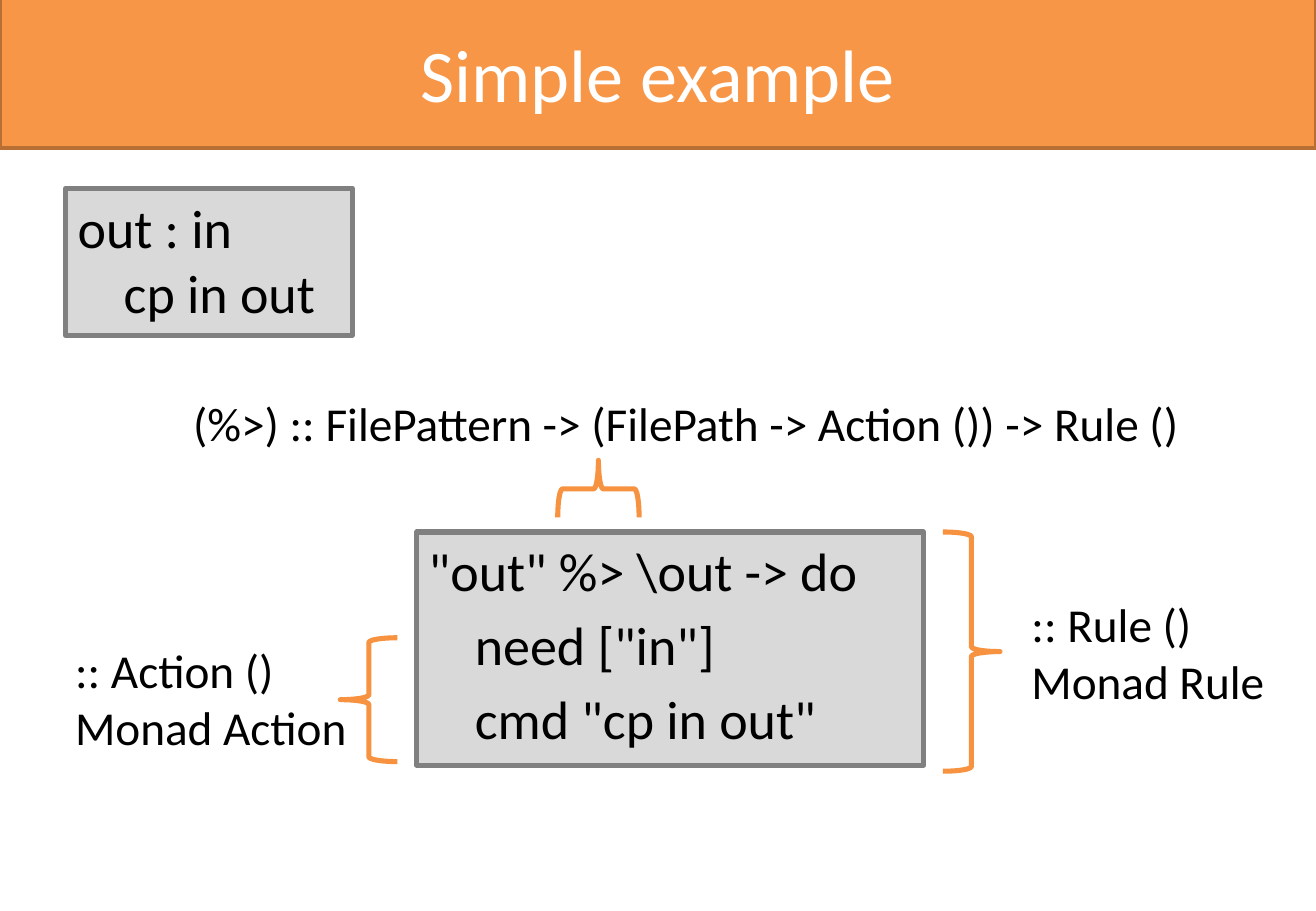
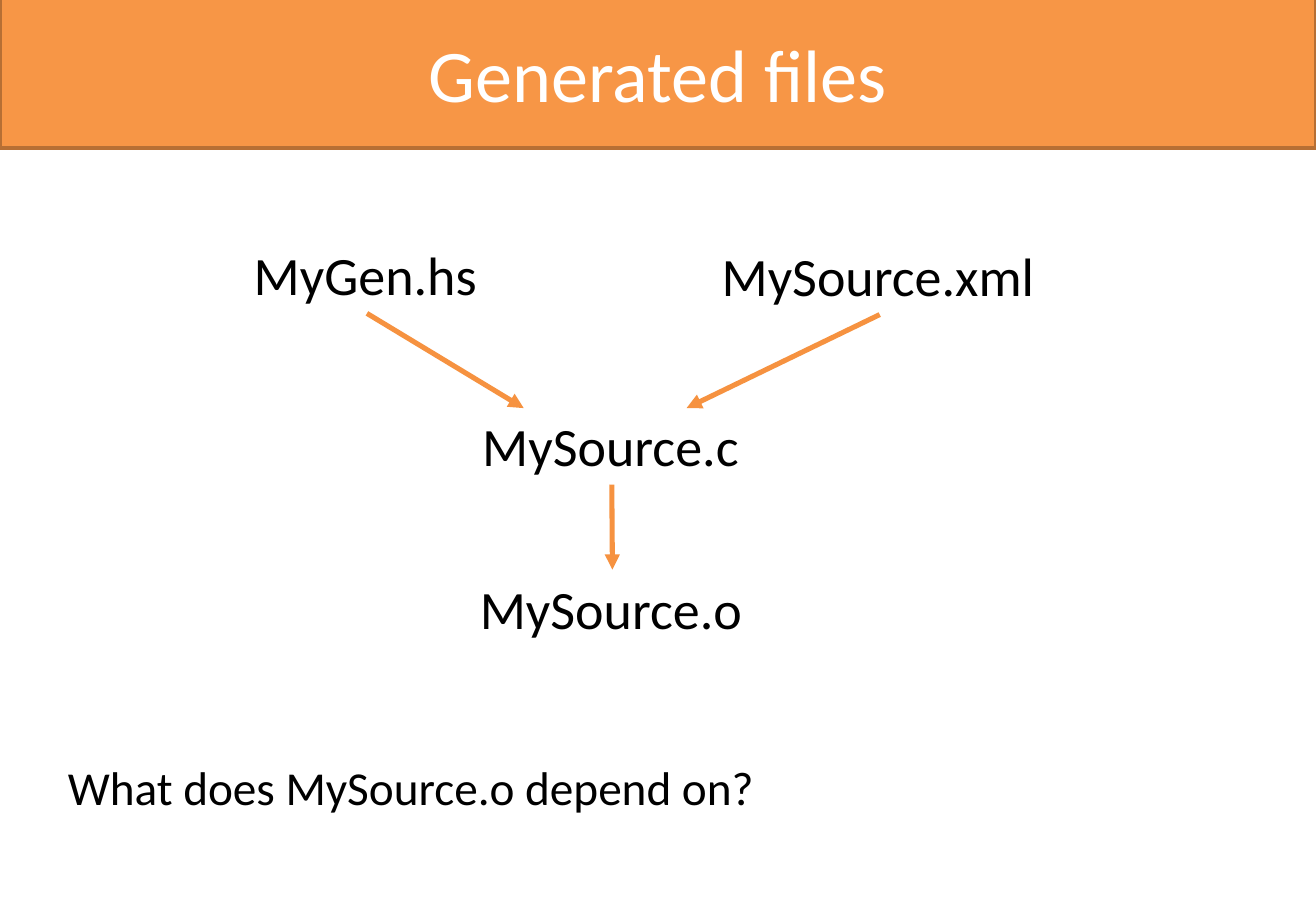
"""Build two slides: a simple build rule and a graph of generated files."""
from dataclasses import dataclass
from typing import Optional

from lxml import etree
from pptx import Presentation
from pptx import util as u
from pptx.dml.color import RGBColor
from pptx.enum import shapes, text
from pptx.oxml import ns


@dataclass(frozen=True)
class Theme:
    font: str = "Calibri"
    ink: str = "000000"
    title_ink: str = "FFFFFF"
    band: str = "F79646"
    band_edge: str = "B76F34"
    accent: str = "F69240"
    code: str = "D9D9D9"
    code_edge: str = "808080"
    title_size: int = 44
    code_size: int = 32
    note_size: int = 28
    band_line: float = 2
    line: float = 3
    code_gap: float = 5.4
    indent: float = 0.38


T = Theme()
WIDTH, HEIGHT = 10.83, 7.5


@dataclass(frozen=True)
class Area:
    left: float
    top: float
    width: float
    height: float

    def emu(self) -> list:
        return [u.Inches(v) for v in (self.left, self.top, self.width, self.height)]


@dataclass(frozen=True)
class Code:
    area: Area
    lines: list


@dataclass(frozen=True)
class Brace:
    area: Area
    rotation: int


@dataclass(frozen=True)
class Label:
    area: Area
    lines: list
    size: int = T.note_size


@dataclass(frozen=True)
class Arrow:
    source: str
    target: Optional[str] = None
    tip: tuple = (0, 0)


CODES = [
    Code(Area(0.54, 1.55, 2.36, 1.21), ["out : in\ncp in out"]),
    Code(Area(3.43, 4.38, 4.17, 1.92),
         ['"out" %> \\out -> do', '\tneed ["in"]', '\tcmd "cp in out"']),
]
BRACES = [
    Brace(Area(7.76, 4.38, 0.47, 1.97), 0),
    Brace(Area(2.8, 5.25, 0.47, 1.02), 180),
    Brace(Area(4.69, 3.69, 0.47, 0.67), 270),
]
TYPES = [
    Label(Area(8.39, 4.85, 2.14, 1.04), [":: Rule ()", "Monad Rule"]),
    Label(Area(0.52, 5.23, 2.47, 1.04), [":: Action ()", "Monad Action"]),
    Label(Area(1.49, 3.2, 8.42, 0.57),
          ["(%>) :: FilePattern -> (FilePath -> Action ()) -> Rule ()"]),
]
FILES = {
    "MyGen.hs": Area(1.99, 1.94, 2.06, 0.64),
    "MySource.xml": Area(5.84, 1.95, 2.8, 0.64),
    "MySource.c": Area(3.87, 3.35, 2.33, 0.64),
    "MySource.o": Area(3.85, 4.69, 2.38, 0.64),
}
ARROWS = [
    Arrow("MyGen.hs", tip=(4.31, 3.36)),
    Arrow("MySource.xml", tip=(5.65, 3.36)),
    Arrow("MySource.c", "MySource.o"),
]
QUESTION = Label(Area(0.46, 6.19, 5.91, 0.57), ["What does MySource.o depend on?"])


def apply(obj, values: dict) -> None:
    for name, value in values.items():
        setattr(obj, name, value)


def set_line(sp, color: str, width: float) -> None:
    sp.line.color.rgb = RGBColor.from_string(color)
    sp.line.width = u.Pt(width)


def write(tf, lines: list, size: int, color: str, paragraph: dict) -> None:
    for i, line in enumerate(lines):
        p = tf.paragraphs[0] if i == 0 else tf.add_paragraph()
        p.text = line
        apply(p, paragraph)
        for r in p.runs:
            apply(r.font, {"name": T.font, "size": u.Pt(size)})
            r.font.color.rgb = RGBColor.from_string(color)


def add_box(s, area: Area, fill: str, edge: str, width: float):
    sp = s.shapes.add_shape(shapes.MSO_SHAPE.RECTANGLE, *area.emu())
    sp.shadow.inherit = False
    sp.fill.solid()
    sp.fill.fore_color.rgb = RGBColor.from_string(fill)
    set_line(sp, edge, width)
    return sp


def add_title_slide(prs, title: str):
    s = prs.slides.add_slide(prs.slide_layouts[6])
    sp = add_box(s, Area(0, -0.03, WIDTH, 1.25), T.band, T.band_edge, T.band_line)
    tf = sp.text_frame
    apply(tf, {"word_wrap": True, "vertical_anchor": text.MSO_ANCHOR.MIDDLE})
    write(tf, [title], T.title_size, T.title_ink, {"alignment": text.PP_ALIGN.CENTER})
    return s


def add_code(s, code: Code) -> None:
    sp = add_box(s, code.area, T.code, T.code_edge, T.line)
    tf = sp.text_frame
    apply(tf, {"word_wrap": True, "vertical_anchor": text.MSO_ANCHOR.TOP})
    write(tf, [line.lstrip("\t") for line in code.lines], T.code_size, T.ink,
          {"alignment": text.PP_ALIGN.LEFT, "space_before": u.Pt(T.code_gap)})
    for p, line in zip(tf.paragraphs, code.lines):
        hang = 0 if line.startswith("\t") else -T.indent
        for name, value in {"marL": T.indent, "indent": hang}.items():
            p._p.get_or_add_pPr().set(name, str(u.Inches(value)))


def add_brace(s, brace: Brace) -> None:
    sp = s.shapes.add_shape(shapes.MSO_SHAPE.RIGHT_BRACE, *brace.area.emu())
    sp.shadow.inherit = False
    sp.fill.background()
    set_line(sp, T.accent, T.line)
    sp.rotation = brace.rotation


def add_label(s, label: Label):
    sp = s.shapes.add_textbox(*label.area.emu())
    tf = sp.text_frame
    apply(tf, {"word_wrap": False, "auto_size": text.MSO_AUTO_SIZE.SHAPE_TO_FIT_TEXT})
    write(tf, label.lines, label.size, T.ink, {"alignment": text.PP_ALIGN.LEFT})
    return sp


def add_arrow(s, arrow: Arrow, nodes: dict) -> None:
    x, y = (u.Inches(v) for v in arrow.tip)
    c = s.shapes.add_connector(shapes.MSO_CONNECTOR.STRAIGHT, x, y, x, y)
    c.begin_connect(nodes[arrow.source], 2)
    if arrow.target:
        c.end_connect(nodes[arrow.target], 0)
    set_line(c, T.accent, T.line)
    spPr = c.element.spPr
    etree.SubElement(spPr.find(ns.qn("a:ln")), ns.qn("a:tailEnd"), type="triangle")
    etree.SubElement(spPr, ns.qn("a:effectLst"))


def build_simple_example(prs) -> None:
    s = add_title_slide(prs, "Simple example")
    for code in CODES:
        add_code(s, code)
    for label in TYPES:
        add_label(s, label)
    for brace in BRACES:
        add_brace(s, brace)


def build_generated_files(prs) -> None:
    s = add_title_slide(prs, "Generated files")
    nodes = {name: add_label(s, Label(area, [name], T.code_size))
             for name, area in FILES.items()}
    for arrow in ARROWS:
        add_arrow(s, arrow, nodes)
    add_label(s, QUESTION)


def main() -> None:
    prs = Presentation()
    apply(prs, {"slide_width": u.Inches(WIDTH), "slide_height": u.Inches(HEIGHT)})
    build_simple_example(prs)
    build_generated_files(prs)
    prs.save("out.pptx")


if __name__ == "__main__":
    main()
